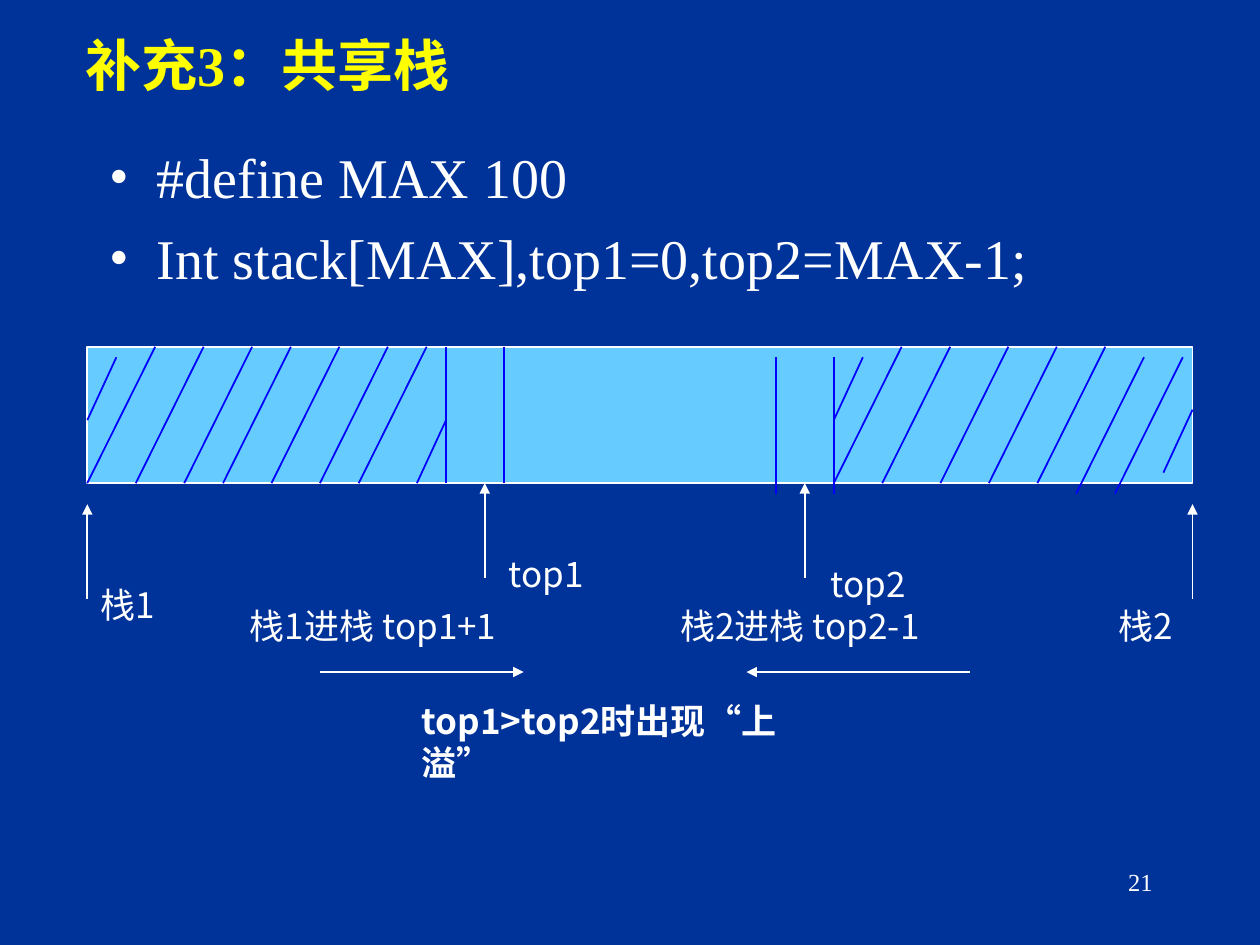
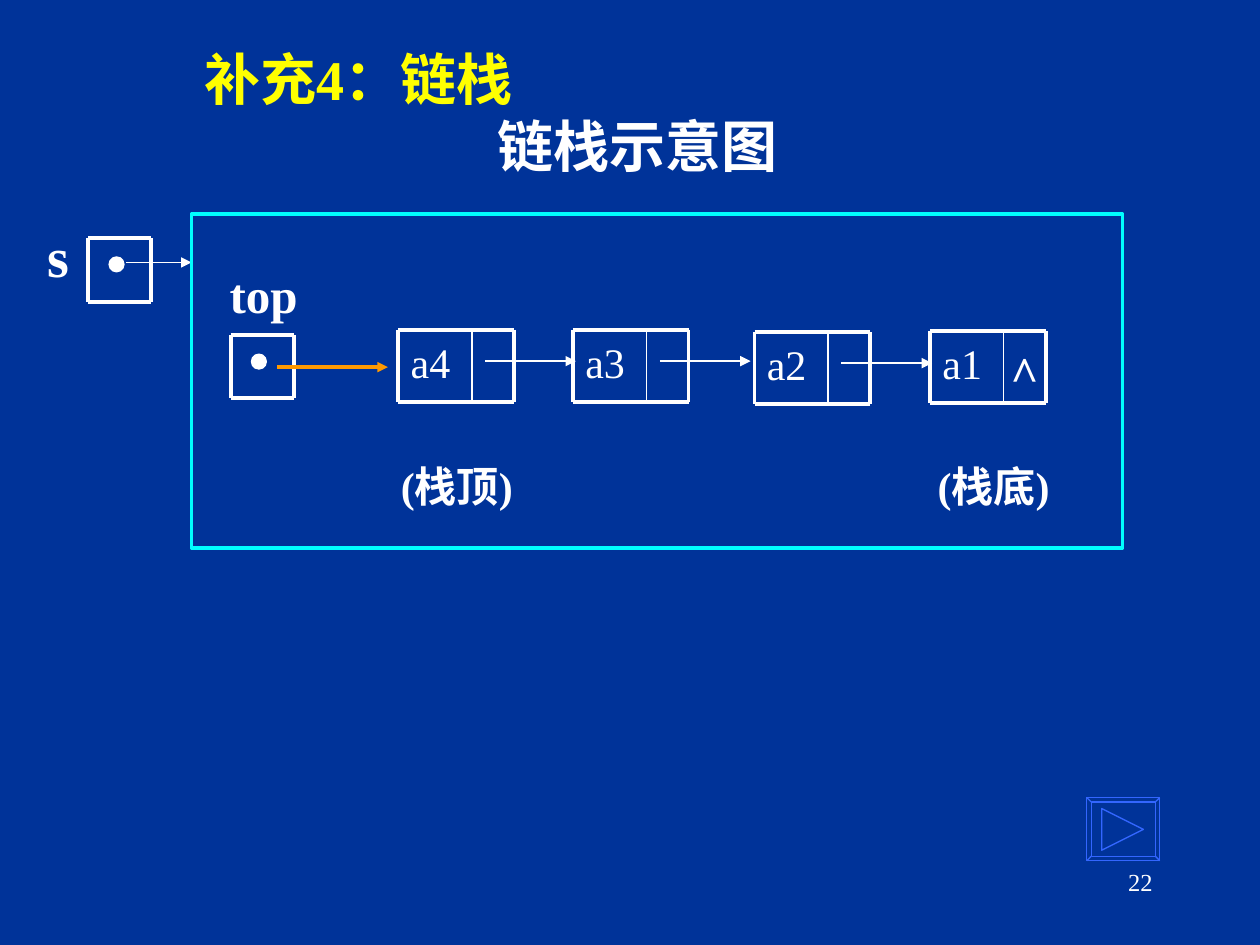
"""Builds two slides on shared and linked stacks."""
from dataclasses import dataclass

import pptx
import pptx.dml.color
import pptx.enum.shapes
import pptx.enum.text
import pptx.oxml.ns
import pptx.util
from lxml import etree

Cm = pptx.util.Cm
Pt = pptx.util.Pt
qn = pptx.oxml.ns.qn
SHAPE = pptx.enum.shapes.MSO_SHAPE
ALIGN = pptx.enum.text.PP_ALIGN
ANCHOR = pptx.enum.text.MSO_ANCHOR

COLOURS = {
    "background": "003399",
    "title": "FFFF00",
    "text": "FFFFFF",
    "stack": "66CCFF",
    "hatch": "0000FF",
    "panel": "00FFFF",
    "top_arrow": "FF9900",
    "button": "3366FF",
}
SERIF = "Times New Roman"
SANS = "Noto Sans CJK SC"


@dataclass
class Box:
    """A rectangle in centimetres."""
    left: float
    top: float
    width: float
    height: float

    def inner(self, left, top, width, height):
        """Return a box whose corner is measured from this one."""
        return Box(self.left + left, self.top + top, width, height)

    def lengths(self):
        """Return the four lengths for python-pptx."""
        return [Cm(value) for value in (self.left, self.top, self.width, self.height)]


def colour(name):
    """Look up a colour by its role."""
    return pptx.dml.color.RGBColor.from_string(COLOURS[name])


def format_para(para, size, font=SERIF, tint="text", bold=False, align=ALIGN.LEFT):
    """Set the alignment and font of a paragraph."""
    para.alignment = align
    para.font.size = Pt(size)
    para.font.bold = bold
    para.font.name = font
    para.font.color.rgb = colour(tint)
    etree.SubElement(para._p.pPr.find(qn("a:defRPr")), qn("a:ea"), typeface=SANS)


def add_text(page, box, text, size, wrap=False, anchor=ANCHOR.TOP, **style):
    """Add a one-paragraph text box."""
    frame = page.shapes.add_textbox(*box.lengths()).text_frame
    frame.word_wrap = wrap
    frame.vertical_anchor = anchor
    frame.text = text
    format_para(frame.paragraphs[0], size, **style)


def add_centred(page, box, text, size):
    """Add a bold label centred in its box."""
    add_text(page, box, text, size, anchor=ANCHOR.MIDDLE, bold=True, align=ALIGN.CENTER)


def add_line(page, start, end, tint="text", width=1, arrow=False):
    """Draw a straight line, with an arrowhead at its end if asked."""
    line = page.shapes.add_connector(
        pptx.enum.shapes.MSO_CONNECTOR.STRAIGHT, *[Cm(value) for value in (*start, *end)])
    line.line.color.rgb = colour(tint)
    line.line.width = Pt(width)
    if arrow:
        etree.SubElement(line.line._get_or_add_ln(), qn("a:tailEnd"), type="triangle")
    etree.SubElement(line._element.spPr, qn("a:effectLst"))


def add_cell(page, box):
    """Draw the four edges of a memory cell."""
    right, bottom = box.left + box.width, box.top + box.height
    for level in (box.top, bottom):
        add_line(page, (box.left, level), (right, level), width=2.25)
    for side in (box.left, right):
        add_line(page, (side, box.top), (side, bottom), width=2.25)


def paint(shape, line, width, fill=None):
    """Set the fill and outline of a shape and drop its shadow."""
    shape.shadow.inherit = False
    if fill:
        shape.fill.solid()
        shape.fill.fore_color.rgb = colour(fill)
    else:
        shape.fill.background()
    shape.line.color.rgb = colour(line)
    shape.line.width = Pt(width)


def add_shape(page, kind, box, line="text", width=1, fill=None):
    """Add a painted preset shape."""
    shape = page.shapes.add_shape(kind, *box.lengths())
    paint(shape, line, width, fill)
    return shape


def add_page(deck, number, title_box):
    """Add a title-only page with its number and return it with the title frame."""
    page = deck.slides.add_slide(deck.slide_layouts[5])
    title = page.shapes.title
    title.left, title.top, title.width, title.height = title_box.lengths()
    frame = title.text_frame
    frame.auto_size = pptx.enum.text.MSO_AUTO_SIZE.NONE
    frame.vertical_anchor = ANCHOR.MIDDLE
    add_text(page, Box(18.21, 17.35, 5.28, 1.27), str(number), 14, align=ALIGN.RIGHT)
    return page, frame


def add_declarations(page, box, lines):
    """Add the bulleted lines of code."""
    frame = page.shapes.add_textbox(*box.lengths()).text_frame
    frame.word_wrap = True
    frame.text = "\n".join(lines)
    for index, para in enumerate(frame.paragraphs):
        properties = para._p.get_or_add_pPr()
        properties.set("marL", str(Cm(0.95)))
        properties.set("indent", str(-Cm(0.95)))
        if index:
            para.space_before = Pt(8)
        etree.SubElement(properties, qn("a:buFont"), typeface=SERIF)
        etree.SubElement(properties, qn("a:buChar"), char="•")
        format_para(para, 32)


def add_shared_stack(page, box):
    """Draw the array shared by two stacks on a grid of 114 by 13 steps."""
    def at(column, row):
        return box.left + column * box.width / 114, box.top + row * box.height / 13

    add_shape(page, SHAPE.RECTANGLE, box, fill="stack")

    cell_edges = [((column, row), (column, row + 13))
                  for column, row in ((43, 0), (77, 1), (37, 0), (71, 1))]
    full_columns = (7, 12, 17, 21, 26, 31, 35, 84, 89, 95, 100, 105)
    slash_tops = [(column, 0) for column in full_columns] + [(109, 1), (113, 1)]
    slashes = [((column, row), (column - 7, row + 13)) for column, row in slash_tops]
    corners = [((column, row), (column - 3, row + 6))
               for column, row in ((37, 7), (3, 1), (114, 6), (80, 1))]
    for start, end in cell_edges + slashes + corners:
        add_line(page, at(*start), at(*end), "hatch")

    pointers = [((column, row), (column, row - 9))
                for column, row in ((41, 22), (74, 22), (114, 24), (0, 24))]
    pushes = [((24, 31), (45, 31)), ((91, 31), (68, 31))]
    for start, end in pointers + pushes:
        add_line(page, at(*start), at(*end), arrow=True)

    labels = [
        ("top1", 42.2, 19, 2.03),
        ("top2", 75.4, 20, 2.03),
        ("栈1", 0.1, 22, 1.78),
        ("栈2", 105.1, 24, 1.78),
        ("栈1进栈 top1+1", 15.5, 24, 6.02),
        ("栈2进栈 top2-1", 59.9, 24, 5.84),
    ]
    for text, column, row, width in labels:
        add_text(page, Box(*at(column, row), width, 1.12), text, 20, font=SANS)
    add_text(page, Box(*at(33.2, 33), 8.64, 1.12), "top1>top2时出现“上溢”", 20,
             wrap=True, font=SANS, bold=True)


def add_pointer_cell(page, box):
    """Draw a square cell that holds a pointer dot."""
    add_cell(page, box)
    add_shape(page, SHAPE.OVAL, box.inner(0.42, 0.38, 0.3, 0.3), width=0.75, fill="text")


def add_node(page, box, name, linked):
    """Draw a list node with its value and either a link or an end mark."""
    divider = box.left + 1.48
    add_cell(page, box)
    add_line(page, (divider, box.top + 0.05), (divider, box.top + 1.5))
    add_text(page, box.inner(0, 0, 1.48, box.height), name, 24)
    if linked:
        link = box.top + 0.63
        add_line(page, (box.left + 1.75, link), (box.left + 3.58, link),
                 width=0.75, arrow=True)
    else:
        add_centred(page, box.inner(1.27, 0.1, 1.27, 1.45), "^", 28)


def add_stack_handle(page, box):
    """Draw the variable s and its arrow to the stack."""
    add_centred(page, box.inner(-1.09, -0.48, 0.99, 1.63), "s", 32)
    add_pointer_cell(page, box)
    level = box.top + 0.49
    add_line(page, (box.left + 0.76, level), (box.left + 2.08, level),
             width=0.75, arrow=True)


def add_linked_stack(page, box):
    """Draw the framed chain of nodes from top to bottom of the stack."""
    add_shape(page, SHAPE.RECTANGLE, box, "panel", 2)
    add_centred(page, box.inner(0.31, 0.89, 2.29, 1.45), "top", 28)
    add_pointer_cell(page, box.inner(0.79, 2.44, 1.27, 1.27))
    level = box.top + 3.08
    add_line(page, (box.left + 1.73, level), (box.left + 3.96, level), "top_arrow", 2, True)
    nodes = [("a4", 4.17, 2.33), ("a3", 7.69, 2.33), ("a2", 11.35, 2.37), ("a1", 14.89, 2.35)]
    for name, left, top in nodes:
        add_node(page, box.inner(left, top, 2.33, 1.45), name, linked=name != "a1")
    for text, left in (("(栈顶)", 3.76), ("(栈底)", 14.58)):
        add_centred(page, box.inner(left, 4.83, 3.18, 1.27), text, 24)


def add_next_button(page, box):
    """Draw the outlined forward button."""
    bevel = add_shape(page, SHAPE.BEVEL, box, "button", 0.75)
    bevel.adjustments[0] = 0.07
    left, top = box.left + 0.3, box.top + 0.22
    builder = page.shapes.build_freeform(Cm(left), Cm(top))
    builder.add_line_segments(
        [(Cm(left + 0.84), Cm(top + 0.42)), (Cm(left), Cm(top + 0.84))], close=True)
    paint(builder.convert_to_shape(), "button", 0.75)


def build_shared_stack_page(deck):
    """Build the page on the shared stack."""
    page, title = add_page(deck, 21, Box(0.46, 0.31, 9.86, 1.98))
    title.text = "补充3：共享栈"
    format_para(title.paragraphs[0], 32, tint="title", bold=True, align=ALIGN.CENTER)
    add_declarations(page, Box(1.96, 2.75, 21.49, 3.61),
                     ["#define MAX 100", "Int stack[MAX],top1=0,top2=MAX-1;"])
    add_shared_stack(page, Box(1.76, 6.99, 22.28, 2.75))


def build_linked_stack_page(deck):
    """Build the page on the linked stack."""
    page, title = add_page(deck, 22, Box(3.86, 1, 14.76, 2.49))
    title.text = "补充4：链栈\n链栈示意图"
    heading, caption = title.paragraphs
    caption._p.get_or_add_pPr().set("marL", str(Cm(5.92)))
    format_para(heading, 32, tint="title", bold=True)
    format_para(caption, 32, bold=True)
    add_stack_handle(page, Box(1.78, 4.8, 1.27, 1.29))
    add_linked_stack(page, Box(3.86, 4.32, 18.77, 6.73))
    add_next_button(page, Box(21.91, 16.08, 1.47, 1.27))


def main():
    """Build and save the deck."""
    deck = pptx.Presentation()
    deck.slide_width, deck.slide_height = Cm(25.4), Cm(19.05)
    backdrop = deck.slide_master.background.fill
    backdrop.solid()
    backdrop.fore_color.rgb = colour("background")
    build_shared_stack_page(deck)
    build_linked_stack_page(deck)
    deck.save("out.pptx")


if __name__ == "__main__":
    main()
